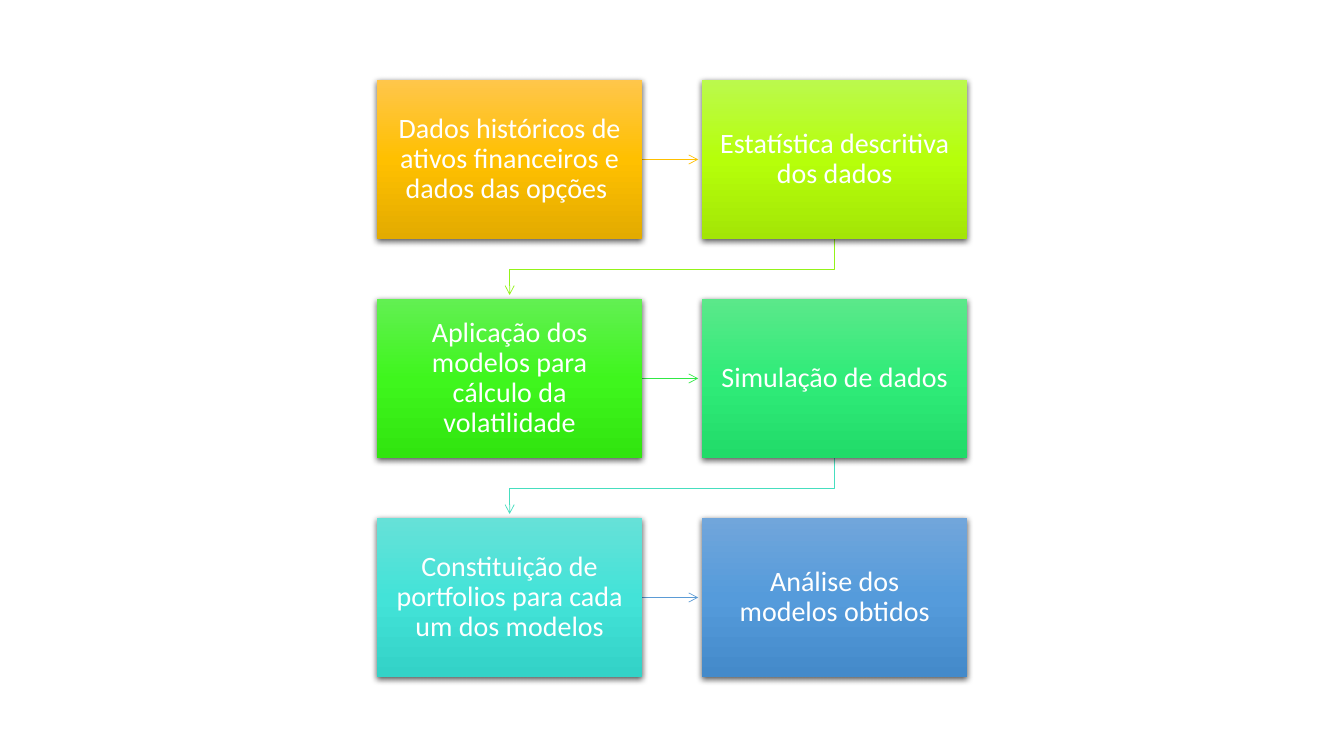
"""Build a slide with a six-step analysis flow in two columns."""
from pptx import Presentation
from pptx.dml.color import RGBColor
from pptx.enum.shapes import MSO_CONNECTOR, MSO_SHAPE
from pptx.enum.text import MSO_ANCHOR, PP_ALIGN
from pptx.oxml import parse_xml
from pptx.oxml.ns import nsdecls, qn
from pptx.util import Inches, Pt

RECTANGLE = MSO_SHAPE.RECTANGLE
STRAIGHT = MSO_CONNECTOR.STRAIGHT
MIDDLE = MSO_ANCHOR.MIDDLE
CENTER = PP_ALIGN.CENTER

STEPS = [
    ("Dados históricos de ativos financeiros e dados das opções ", ("FFC64B", "FFC000", "E3AB00")),
    ("Estatística descritiva dos dados", ("BBF94D", "B6FF0A", "A3E506")),
    ("Aplicação dos modelos para cálculo da volatilidade", ("62F052", "3FF61D", "31E50F")),
    ("Simulação de dados", ("5BE88A", "30EC79", "21DB69")),
    ("Constituição de portfolios para cada um dos modelos", ("66E1D8", "43E3D8", "33D2C7")),
    ("Análise dos modelos obtidos", ("71A6DB", "559BDB", "448ACA")),
]
ARROW_COLORS = ["FFC000", "94F319", "30E845", "46DEBF", "5B9BD5"]

THEME = {
    "font": "Calibri",
    "text_size": 20,
    "text_color": "FFFFFF",
    "line_spacing": 0.9,
    "arrow_width": 0.5,
    "shadow_color": "000000",
}

EMU_PER_PIXEL = 914400 / 100.8
COLUMNS = 2
LEFT, TOP = 377, 80
BOX_WIDTH, BOX_HEIGHT = 265, 159
COLUMN_STEP, ROW_STEP = 325, 219
INSET = 16
ARROW_GAP = 4


def emu(pixels):
    """Convert pixels to EMU."""
    return round(pixels * EMU_PER_PIXEL)


def box_position(index):
    """Return the left and top of a step in the grid."""
    row, column = divmod(index, COLUMNS)
    return LEFT + column * COLUMN_STEP, TOP + row * ROW_STEP


def add_gradient(shape, colors):
    """Fill a shape with a top-to-bottom gradient."""
    stops = "".join(
        f'<a:gs pos="{position}"><a:srgbClr val="{color}"/></a:gs>'
        for position, color in zip((0, 50000, 100000), colors)
    )
    gradient = parse_xml(
        f'<a:gradFill {nsdecls("a")} rotWithShape="1"><a:gsLst>{stops}</a:gsLst>'
        '<a:lin ang="5400000" scaled="0"/></a:gradFill>'
    )
    shape._element.spPr.find(qn("a:prstGeom")).addnext(gradient)


def add_shadow(shape):
    """Give a shape a soft shadow below it."""
    shape.shadow.inherit = False
    shape._element.spPr.find(qn("a:effectLst")).append(parse_xml(
        f'<a:outerShdw {nsdecls("a")} blurRad="57150" dist="19050" dir="5400000" '
        f'algn="ctr" rotWithShape="0"><a:srgbClr val="{THEME["shadow_color"]}">'
        '<a:alpha val="63000"/></a:srgbClr></a:outerShdw>'
    ))


def add_step(slide, index, text, colors):
    """Add one step box with its text."""
    left, top = box_position(index)
    shape = slide.shapes.add_shape(RECTANGLE, emu(left), emu(top), emu(BOX_WIDTH), emu(BOX_HEIGHT))
    add_gradient(shape, colors)
    shape.line.fill.background()
    add_shadow(shape)
    frame = shape.text_frame
    frame.text = text
    frame.word_wrap = True
    frame.vertical_anchor = MIDDLE
    frame.margin_left = frame.margin_right = emu(INSET)
    frame.margin_top = frame.margin_bottom = emu(INSET)
    paragraph = frame.paragraphs[0]
    paragraph.alignment = CENTER
    paragraph.line_spacing = THEME["line_spacing"]
    font = paragraph.runs[0].font
    font.name = THEME["font"]
    font.size = Pt(THEME["text_size"])
    font.color.rgb = RGBColor.from_string(THEME["text_color"])


def arrow_points(index):
    """Return the corners of the arrow from a step to the next."""
    left, top = box_position(index)
    next_left, next_top = box_position(index + 1)
    if top == next_top:
        middle = top + BOX_HEIGHT / 2
        return [(left + BOX_WIDTH, middle), (next_left - ARROW_GAP, middle)]
    start_x, end_x = left + BOX_WIDTH / 2, next_left + BOX_WIDTH / 2
    bottom = top + BOX_HEIGHT
    turn = (bottom + next_top) / 2
    return [(start_x, bottom), (start_x, turn), (end_x, turn), (end_x, next_top - ARROW_GAP)]


def add_arrow(slide, index, color):
    """Add a straight or stepped arrow to the next step."""
    points = [(emu(x), emu(y)) for x, y in arrow_points(index)]
    if len(points) == 2:
        arrow = slide.shapes.add_connector(STRAIGHT, *points[0], *points[1])
    else:
        builder = slide.shapes.build_freeform(*points[0])
        builder.add_line_segments(points[1:], close=False)
        arrow = builder.convert_to_shape()
        arrow.fill.background()
    arrow.line.color.rgb = RGBColor.from_string(color)
    arrow.line.width = Pt(THEME["arrow_width"])
    properties = arrow._element.spPr
    properties.find(qn("a:ln")).append(parse_xml(f'<a:tailEnd {nsdecls("a")} type="arrow"/>'))
    properties.append(parse_xml(f'<a:effectLst {nsdecls("a")}/>'))


presentation = Presentation()
presentation.slide_width = Inches(13.33)
presentation.slide_height = Inches(7.5)
slide = presentation.slides.add_slide(presentation.slide_layouts[6])
for index, color in enumerate(ARROW_COLORS):
    add_arrow(slide, index, color)
for index, (text, colors) in enumerate(STEPS):
    add_step(slide, index, text, colors)
presentation.save("out.pptx")
